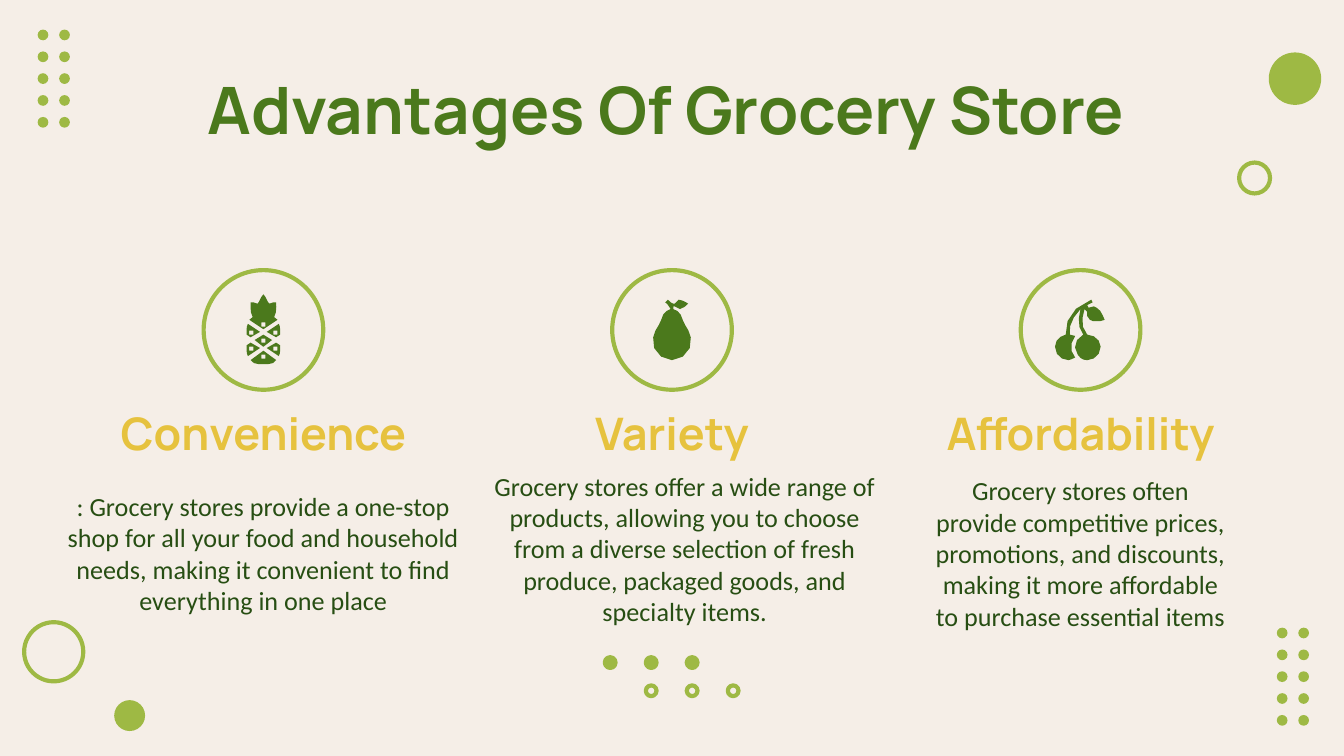
from pptx import Presentation
from pptx.dml.color import RGBColor
from pptx.enum.shapes import MSO_SHAPE as SHAPE
from pptx.enum.text import MSO_ANCHOR as ANCHOR, PP_ALIGN as ALIGN
from pptx.util import Inches, Pt
from math import dist

BG, LIME, GREEN, GOLD, DARK = "F5EEE7", "9EB944", "4B791C", "E6C23E", "274E13"

TITLE = {"name": "Manrope", "size": Pt(35), "bold": True, "color": GREEN}
HEADING = {"name": "Manrope", "size": Pt(24), "bold": True, "color": GOLD}
BODY = {"name": "Calibri", "size": Pt(14), "bold": False, "color": DARK}


def square(x, y, size=3):
    return f"M {x} {y} L {x + size} {y} L {x + size} {y + size} L {x} {y + size} Z"


# Icon outlines in 1/100 inch: x from the ring's centre, y from its top
PINEAPPLE_SIDE = [
    square(7.5, 45) + " M 11.5 40 L 2.5 46 L 9.5 50 L 12.5 48 C 12.5 43 12.5 42 11.5 40 Z",
    square(7.5, 57) + " M 9.5 54 L 2.5 58 L 11.5 64 C 12.5 62 12.5 61 12.5 56 Z",
]
PINEAPPLE_MIDDLE = [
    square(-1.5, 51) + " M 0 48 L -6.5 52 L 0 57 L 6.5 52 Z",
    square(-1.5, 63) + " M 0 60 L -9.5 67 C -8.5 69 -6 70 -3.5 70 L 3.5 70"
    " C 6 70 8.5 69 9.5 67 Z",
    square(-1.5, 39) + " M 0 18 L -1.5 20 C -4 24 -3.5 25 -4.5 25 C -5 25 -5.5 25 -7.5 24"
    " L -9.5 24 C -9.5 27 -10 32 -8 35 C -9 35 -10 36 -10.5 37 L 0 44 L 10.5 37"
    " C 10 36 9 35 8 35 C 10 32 9.5 27 9.5 24 L 7.5 24 C 5.5 25 5 25 4.5 25"
    " C 3.5 25 4 24 1.5 20 Z",
]
PEAR = (
    "M 5 22 C 4 22 2 23 2 25 L 1 25 C 0 25 0 25 -1 24 C -2 23 -3 22 -3 22"
    " L -5 24 C -5 24 -2 26 -1 29 C -4 30 -7 32 -8 37 C -9 41 -13 44 -14 50"
    " C -16 58 -9 67 0 67 C 9 67 16 58 14 50 C 13 44 9 41 8 37 C 7 32 4 30 1 29"
    " L 1 27 L 2 27 C 3 28 4 29 6 29 C 8 29 11 26 12 25 C 11 24 7 22 5 22 Z"
)
CHERRIES = (
    "M 8 22 C -6 27 -12 38 -11 48 C -15 49 -19 52 -19 57 C -19 63 -14 67 -9 67"
    " C -8 67 -6 66 -4 65 C -8 61 -8 54 -4 49 C -5 49 -7 48 -8 48 C -9 42 -6 35 0 29"
    " C -2 36 -2 43 2 48 C -4 51 -6 58 -2 63 C 0 66 2 67 5 67 C 10 67 15 63 15 57"
    " C 15 52 10 48 5 48 C 0 43 1 35 3 29 C 4 30 5 31 5 31 C 4 33 5 35 7 37"
    " C 8 38 10 38 12 38 C 14 38 16 38 18 37 C 17 35 15 29 12 28 C 11 28 10 27 10 27"
    " C 8 27 7 28 6 28 C 6 28 5 27 5 26 C 6 26 7 25 9 24 Z"
)


def rgb(color):
    return RGBColor.from_string(color)


def paint(sp, fill=None, line=None):
    sp.shadow.inherit = False
    if fill:
        sp.fill.solid()
        sp.fill.fore_color.rgb = rgb(fill)
    else:
        sp.fill.background()
    if line:
        sp.line.color.rgb = rgb(line)
        sp.line.width = Pt(2.25)
    else:
        sp.line.fill.background()


def add_circle(slide, x, y, size, fill=None, line=None):
    sp = slide.shapes.add_shape(SHAPE.OVAL, Inches(x), Inches(y), Inches(size), Inches(size))
    paint(sp, fill, line)


def add_text(slide, x, y, w, h, text, style):
    tf = slide.shapes.add_textbox(Inches(x), Inches(y), Inches(w), Inches(h)).text_frame
    frame = {"word_wrap": True, "vertical_anchor": ANCHOR.MIDDLE}
    frame |= {f"margin_{side}": Inches(0.1) for side in ("left", "right", "top", "bottom")}
    for key, value in frame.items():
        setattr(tf, key, value)
    p = tf.paragraphs[0]
    p.alignment = ALIGN.CENTER
    r = p.add_run()
    r.text = text
    for key, value in style.items():
        if key == "color":
            r.font.color.rgb = rgb(value)
        else:
            setattr(r.font, key, value)


def bezier(points):
    """Up to three points along a cubic curve, without its start."""
    steps = min(3, max(1, round(dist(points[0], points[-1]) / 3)))
    for i in range(1, steps + 1):
        t = i / steps
        weights = ((1 - t) ** 3, 3 * t * (1 - t) ** 2, 3 * t * t * (1 - t), t ** 3)
        yield tuple(sum(w * pt[axis] for w, pt in zip(weights, points)) for axis in (0, 1))


def contours(outline):
    """Turn an outline into closed lists of points."""
    result = []
    tokens = iter(outline.split())
    for command in tokens:
        if command == "Z":
            continue
        count = 3 if command == "C" else 1
        points = [(float(next(tokens)), float(next(tokens))) for _ in range(count)]
        if command == "M":
            result.append(points)
        elif command == "L":
            result[-1] += points
        else:
            result[-1] += bezier([result[-1][-1]] + points)
    return result


def add_outline(slide, cx, top, outline, flip=1):
    loops = [
        [(Inches(cx + flip * x / 100), Inches(top + y / 100)) for x, y in loop]
        for loop in contours(outline)
    ]
    builder = slide.shapes.build_freeform(*loops[0][0])
    for i, loop in enumerate(loops):
        if i:
            builder.move_to(*loop[0])
        builder.add_line_segments(loop[1:], close=True)
    paint(builder.convert_to_shape(), GREEN)


def add_pineapple(slide, cx, top):
    for outline in PINEAPPLE_SIDE:
        for flip in (1, -1):
            add_outline(slide, cx, top, outline, flip)
    for outline in PINEAPPLE_MIDDLE:
        add_outline(slide, cx, top, outline)


def add_pear(slide, cx, top):
    add_outline(slide, cx, top, PEAR)


def add_cherries(slide, cx, top):
    add_outline(slide, cx, top, CHERRIES)


def add_dot_grid(slide, x, y, h=0.65):
    for row in range(5):
        for col in range(2):
            add_circle(slide, x + 0.16 * col, y + h * row / 4, 0.08, LIME)


def add_dot_rows(slide, x, y, w=0.61):
    """Three solid dots above three hollow ones, shifted by one step."""
    for row, fill in enumerate((LIME, None)):
        for col in range(3):
            add_circle(slide, x + w * (col + row) / 2, y + 0.21 * row, 0.08, fill, LIME)


def add_decoration(slide):
    add_dot_rows(slide, 4.5, 4.89)
    add_dot_grid(slide, 0.28, 0.22)
    add_dot_grid(slide, 9.5, 4.67)
    # Corner circles
    add_circle(slide, 0.18, 4.63, 0.44, line=LIME)
    add_circle(slide, 0.85, 5.21, 0.23, LIME)
    add_circle(slide, 9.44, 0.39, 0.39, LIME)
    add_circle(slide, 9.22, 1.21, 0.23, line=LIME)


def add_advantage(slide, x, y, w, heading, body, body_box, draw_icon):
    """One column: ringed icon, heading and description."""
    cx, ring = x + w / 2, 0.89
    add_text(slide, x, y + 0.98, w, 0.45, heading, HEADING)
    dx, dy, body_w, body_h = body_box
    add_text(slide, x + dx, y + dy, body_w, body_h, body, BODY)
    add_circle(slide, cx - ring / 2, y, ring, line=LIME)
    draw_icon(slide, cx, y)


# Heading, description, description box relative to the column, icon
ADVANTAGES = [
    ("Convenience",
     ": Grocery stores provide a one-stop shop for all your food and household needs, "
     "making it convenient to find everything in one place",
     (-0.4, 1.71, 3.16, 0.79), add_pineapple),
    ("Variety",
     "Grocery stores offer a wide range of products, allowing you to choose from a "
     "diverse selection of fresh produce, packaged goods, and specialty items.",
     (-0.28, 1.71, 3.11, 0.72), add_pear),
    ("Affordability",
     "Grocery stores often provide competitive prices, promotions, and discounts, "
     "making it more affordable to purchase essential items",
     (0, 1.53, 2.36, 1.15), add_cherries),
]


def main():
    prs = Presentation()
    prs.slide_width, prs.slide_height = Inches(10), Inches(5.625)
    slide = prs.slides.add_slide(prs.slide_layouts[6])
    slide.background.fill.solid()
    slide.background.fill.fore_color.rgb = rgb(BG)

    add_decoration(slide)
    add_text(slide, 0.79, 0.49, 8.43, 0.63, "Advantages Of Grocery Store ", TITLE)
    for i, advantage in enumerate(ADVANTAGES):
        add_advantage(slide, 0.78 + 3.04 * i, 2.01, 2.36, *advantage)
    prs.save("out.pptx")


if __name__ == "__main__":
    main()
